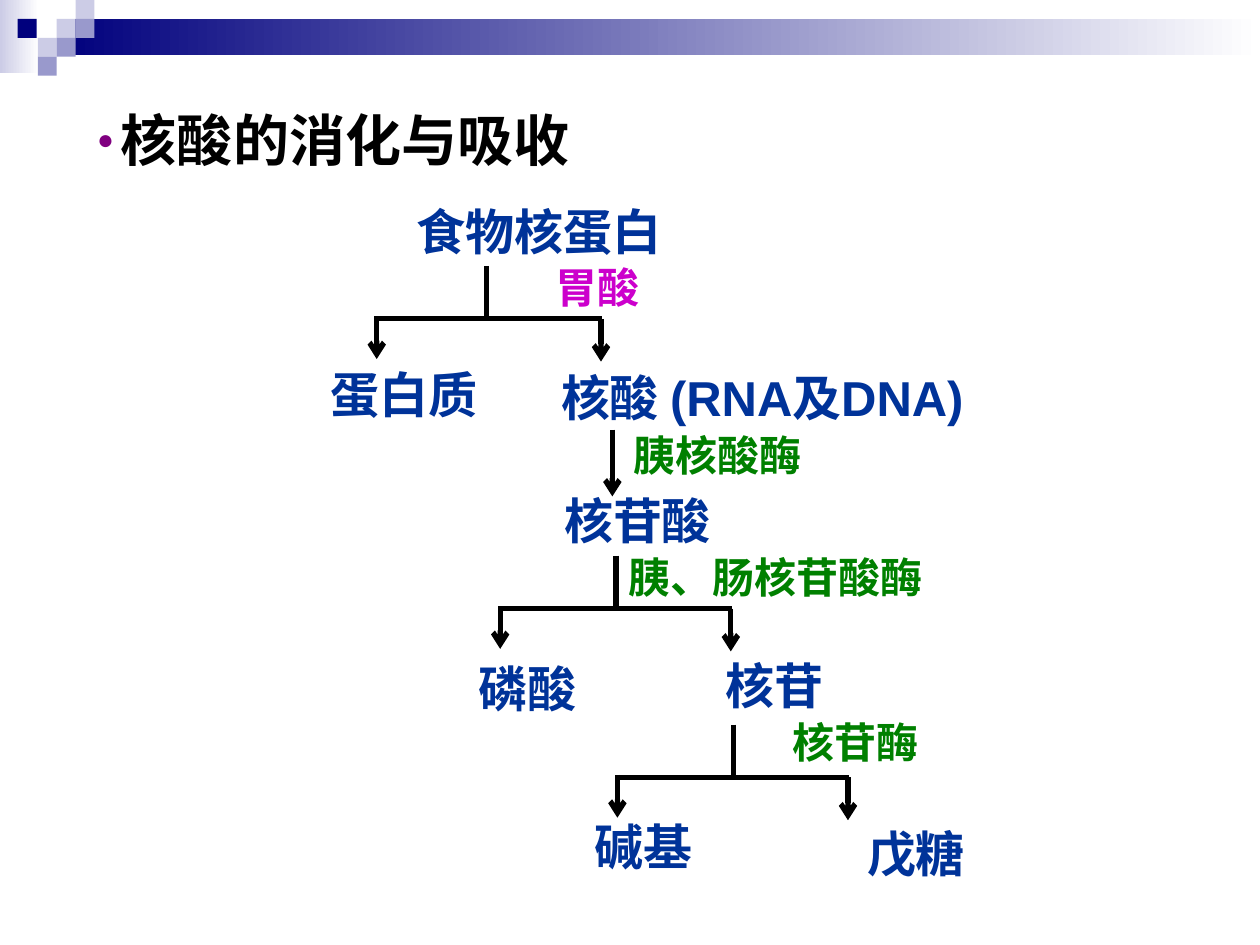
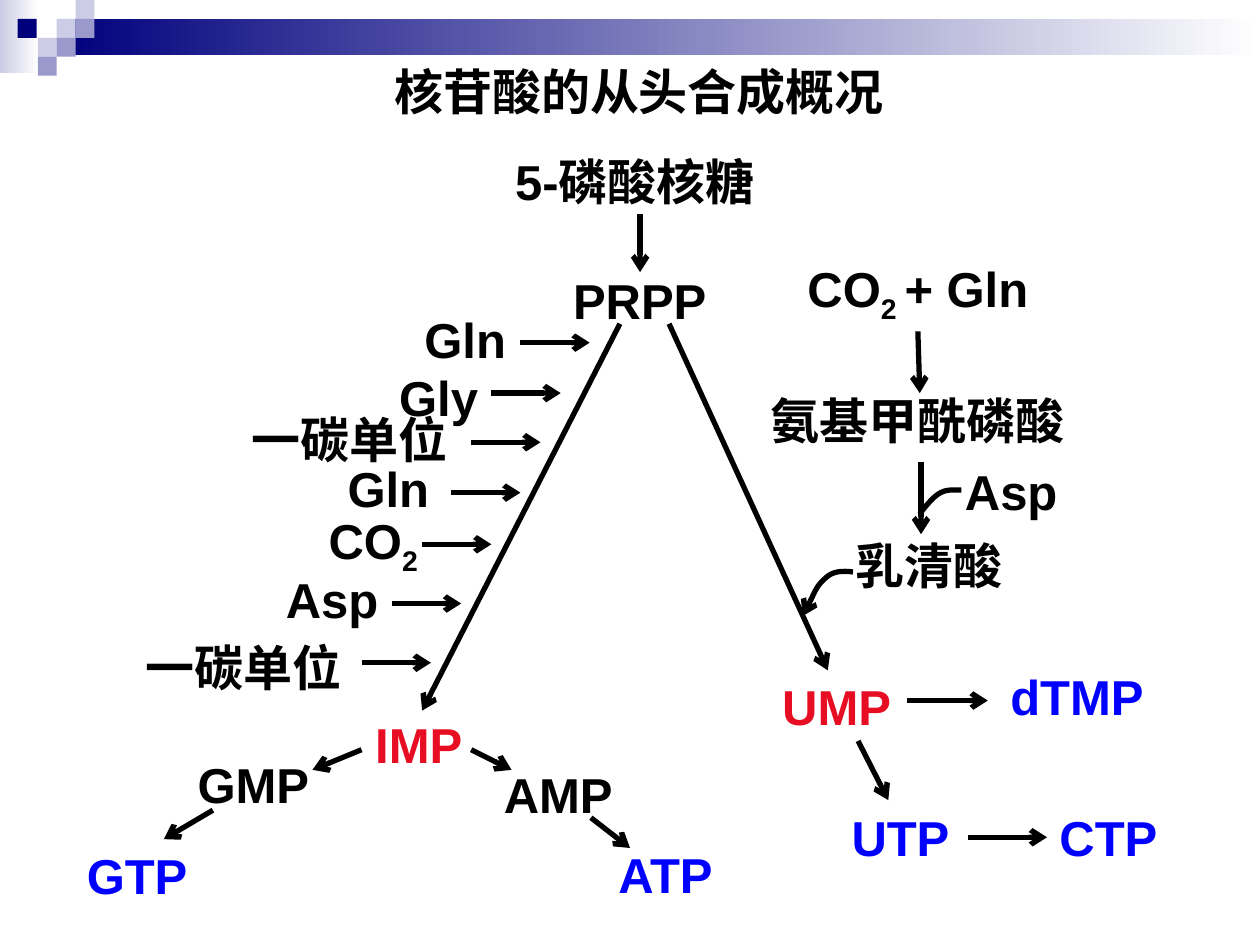
"""Builds two slides on nucleic acid digestion and the de novo synthesis of nucleotides."""
from lxml import etree
from pptx import Presentation
from pptx.dml.color import RGBColor
from pptx.enum.shapes import MSO_CONNECTOR, MSO_SHAPE
from pptx.enum.text import MSO_ANCHOR, MSO_AUTO_SIZE, PP_ALIGN
from pptx.oxml.ns import qn
from pptx.util import Inches, Pt

STRAIGHT = MSO_CONNECTOR.STRAIGHT
RECTANGLE = MSO_SHAPE.RECTANGLE
TOP = MSO_ANCHOR.TOP
FIT_SHAPE = MSO_AUTO_SIZE.SHAPE_TO_FIT_TEXT
LEFT, CENTER = PP_ALIGN.LEFT, PP_ALIGN.CENTER
LEFT_SIDE, BOTTOM_SIDE, RIGHT_SIDE = 1, 2, 3

BLACK = RGBColor(0x00, 0x00, 0x00)
WHITE = RGBColor(0xFF, 0xFF, 0xFF)
NAVY = RGBColor(0x00, 0x00, 0x7D)
LAVENDER = RGBColor(0xCC, 0xCC, 0xE6)
PERIWINKLE = RGBColor(0x99, 0x99, 0xCC)
PURPLE = RGBColor(0x80, 0x00, 0x80)
COMPOUND_BLUE = RGBColor(0x00, 0x33, 0x99)
ENZYME_GREEN = RGBColor(0x00, 0x80, 0x00)
ACID_MAGENTA = RGBColor(0xCC, 0x00, 0xCC)
KEY_RED = RGBColor(0xE7, 0x0D, 0x22)
PRODUCT_BLUE = RGBColor(0x00, 0x00, 0xFF)
FONT = "Arial"


def write(shape, text, size=28, color=BLACK, align=LEFT, wrap=True):
    """Fill a shape with bold text; every second part between bars is subscript."""
    frame = shape.text_frame
    frame.word_wrap = wrap
    frame.auto_size = FIT_SHAPE
    frame.vertical_anchor = TOP
    paragraph = frame.paragraphs[0]
    paragraph.alignment = align
    for index, part in enumerate(text.split("|")):
        run = paragraph.add_run()
        run.text = part
        run.font.name = FONT
        run.font.size = Pt(size)
        run.font.bold = True
        run.font.color.rgb = color
        if index % 2:
            run.font._element.set("baseline", "-25000")
    return paragraph


def style_stroke(stroke, has_head=True):
    """Give a connector or curve the black line, without shadow."""
    stroke.line.color.rgb = BLACK
    stroke.line.width = Pt(3)
    if has_head:
        line = stroke.element.xpath("./p:spPr/a:ln")[0]
        etree.SubElement(line, qn("a:tailEnd"), type="arrow")
    properties = stroke.element.xpath("./p:spPr")[0]
    if properties.find(qn("a:effectLst")) is None:
        etree.SubElement(properties, qn("a:effectLst"))


prs = Presentation()
prs.slide_width = Inches(10)
prs.slide_height = Inches(7.5)
digestion = prs.slides.add_slide(prs.slide_layouts[1])
synthesis = prs.slides.add_slide(prs.slide_layouts[5])

band_parts = [
    (0, 0, 0.31, 0.58, LAVENDER, WHITE),
    (0.45, 0.15, 9.55, 0.29, NAVY, WHITE),
]
band_parts += [(x, y, 0.15, 0.15, color, None) for x, y, color in [
    (0.45, 0.15, LAVENDER),
    (0.6, 0, LAVENDER),
    (0.6, 0.15, PERIWINKLE),
    (0.3, 0.3, LAVENDER),
    (0.14, 0.15, NAVY),
    (0.45, 0.3, PERIWINKLE),
    (0.3, 0.45, PERIWINKLE),
]]
master_tree = prs.slide_master.shapes.element
for index, (x, y, width, height, color, fade) in enumerate(band_parts):
    part = digestion.shapes.add_shape(
        RECTANGLE, Inches(x), Inches(y), Inches(width), Inches(height))
    part.shadow.inherit = False
    part.line.fill.background()
    if fade is None:
        part.fill.solid()
        part.fill.fore_color.rgb = color
    else:
        part.fill.gradient()
        part.fill.gradient_angle = 0
        for stop, stop_color in zip(part.fill.gradient_stops, (color, fade)):
            stop.color.rgb = stop_color
    part.element.xpath("./p:nvSpPr/p:cNvPr")[0].set("id", str(100 + index))
    master_tree.insert(2 + index, part.element)

unused_title = digestion.shapes.title.element
unused_title.getparent().remove(unused_title)
topic = digestion.placeholders[1]
topic.left, topic.top = Inches(0.67), Inches(0.85)
topic.width, topic.height = Inches(8.17), Inches(0.58)
topic_line = write(topic, "核酸的消化与吸收", size=32)
topic_format = topic_line._p.get_or_add_pPr()
topic_format.set("marL", str(Inches(0.19)))
topic_format.set("indent", str(-Inches(0.19)))
bullet_color = etree.SubElement(topic_format, qn("a:buClr"))
etree.SubElement(bullet_color, qn("a:srgbClr"), val=str(PURPLE))
etree.SubElement(topic_format, qn("a:buSzPct"), val="50000")
etree.SubElement(topic_format, qn("a:buChar"), char="●")
topic_line.line_spacing = 0.9
topic_line.space_before = Pt(0)

compounds = [
    ("食物核蛋白", 2.92, 1.55, 2.71),
    ("蛋白质", 2.28, 2.84, 1.85),
    ("核酸 (RNA及DNA)", 4.16, 2.87, 3.78),
    ("核苷酸", 3.89, 3.84, 2.34),
    ("核苷", 5.26, 5.15, 1.78),
    ("磷酸", 3.48, 5.18, 1.41),
    ("碱基", 4.39, 6.43, 1.43),
    ("戊糖", 6.23, 6.49, 2.08),
]
agents = [
    ("胃酸", 3.86, 2.03, 1.77, ACID_MAGENTA),
    ("胰核酸酶", 4.93, 3.36, 1.53, ENZYME_GREEN),
    ("胰、肠核苷酸酶", 4.89, 4.33, 2.53, ENZYME_GREEN),
    ("核苷酶", 5.82, 5.64, 1.94, ENZYME_GREEN),
]
digestion_labels = [(*compound, 0.57, 28, COMPOUND_BLUE) for compound in compounds]
digestion_labels += [(*agent[:4], 0.5, 24, agent[4]) for agent in agents]
for text, x, y, width, height, size, color in digestion_labels:
    label = digestion.shapes.add_textbox(
        Inches(x), Inches(y), Inches(width), Inches(height))
    write(label, text, size=size, color=color, align=CENTER, wrap=False)

digestion_lines = [(4.86, 3.41, 4.86, 3.94, True)]
for stem, top, left, right in [
    (3.86, 2.11, 2.99, 4.77),
    (4.89, 4.41, 3.97, 5.8),
    (5.82, 5.75, 4.9, 6.73),
]:
    fork = top + 0.42
    digestion_lines += [
        (stem, top, stem, fork, False),
        (right + 0.01, fork, left - 0.01, fork, False),
        (left, fork - 0.02, left, fork + 0.32, True),
        (right, fork, right, fork + 0.34, True),
    ]
for x1, y1, x2, y2, has_head in digestion_lines:
    step = digestion.shapes.add_connector(
        STRAIGHT, Inches(x1), Inches(y1), Inches(x2), Inches(y2))
    style_stroke(step, has_head)

heading = synthesis.shapes.title
heading.left, heading.top = Inches(3.03), Inches(0.44)
heading.width, heading.height = Inches(4.53), Inches(0.57)
write(heading, "核苷酸的从头合成概况")

metabolites = {}
for text, x, y, width, color in [
    ("5-磷酸核糖", 3.99, 1.15, 2.66, BLACK),
    ("PRPP", 4.45, 2.1, 1.31, BLACK),
    ("Asp", 7.56, 3.61, 0.98, BLACK),
    ("CO|2 |+ Gln", 6.31, 2, 1.95, BLACK),
    ("氨基甲酰磷酸", 6.02, 3.05, 3.15, BLACK),
    ("乳清酸", 6.69, 4.2, 1.8, BLACK),
    ("UMP", 6.11, 5.32, 1.11, KEY_RED),
    ("dTMP", 7.92, 5.24, 1.3, PRODUCT_BLUE),
    ("UTP", 6.66, 6.36, 1.02, PRODUCT_BLUE),
    ("CTP", 8.31, 6.36, 1.02, PRODUCT_BLUE),
    ("GTP", 0.59, 6.66, 1.05, PRODUCT_BLUE),
    ("ATP", 4.81, 6.65, 1.02, PRODUCT_BLUE),
    ("AMP", 3.9, 6.02, 1.11, BLACK),
    ("GMP", 1.47, 5.94, 1.13, BLACK),
    ("IMP", 2.88, 5.62, 0.94, KEY_RED),
    ("Gln", 3.27, 2.41, 0.89, BLACK),
    ("Gly", 3.07, 2.87, 0.87, BLACK),
    ("一碳单位", 1.9, 3.2, 2.09, BLACK),
    ("Gln", 2.66, 3.59, 0.89, BLACK),
    ("CO|2", 2.51, 4, 0.91, BLACK),
    ("Asp", 2.17, 4.47, 0.98, BLACK),
    ("一碳单位", 1.06, 5.01, 2.2, BLACK),
]:
    height = 0.63 if "|" in text else 0.57
    label = synthesis.shapes.add_textbox(
        Inches(x), Inches(y), Inches(width), Inches(height))
    write(label, text, color=color, wrap=not text.isascii())
    metabolites[text] = label

pathway_steps = [
    (7.28, 2.65, 7.3, 3.12, ("CO|2 |+ Gln", BOTTOM_SIDE), None),
    (7.68, 6.66, 8.31, 6.66, ("UTP", RIGHT_SIDE), ("CTP", LEFT_SIDE)),
]
pathway_steps += [(*ends, None, None) for ends in [
    (5.08, 1.7, 5.08, 2.16),
    (7.31, 3.67, 7.31, 4.24),
    (5.31, 2.57, 6.57, 5.32),
    (7.2, 5.56, 7.84, 5.56),
    (6.81, 5.88, 7.05, 6.35),
    (4.92, 2.57, 3.35, 5.64),
    (3.74, 5.95, 4.06, 6.11),
    (2.87, 5.95, 2.48, 6.11),
    (1.69, 6.43, 1.3, 6.66),
    (4.69, 6.49, 5, 6.73),
]]
donor_starts = [(4.13, 2.72), (3.9, 3.12), (3.74, 3.51), (3.58, 3.91),
                (3.35, 4.32), (3.11, 4.79), (2.87, 5.26)]
pathway_steps += [(x, y, x + 0.55, y, None, None) for x, y in donor_starts]
for x1, y1, x2, y2, source, target in pathway_steps:
    step = synthesis.shapes.add_connector(
        STRAIGHT, Inches(x1), Inches(y1), Inches(x2), Inches(y2))
    if source:
        step.begin_connect(metabolites[source[0]], source[1])
    if target:
        step.end_connect(metabolites[target[0]], target[1])
    style_stroke(step)

for points, has_head in [
    ([(7.63, 3.89), (7.57, 3.89), (7.51, 3.88), (7.45, 3.92),
      (7.4, 3.95), (7.32, 4.05), (7.3, 4.08)], False),
    ([(6.77, 4.54), (6.69, 4.53), (6.61, 4.53), (6.55, 4.59),
      (6.48, 4.65), (6.4, 4.84), (6.37, 4.89)], True),
]:
    start, *controls = [(Inches(x), Inches(y)) for x, y in points]
    builder = synthesis.shapes.build_freeform(*start)
    builder.add_line_segments(controls, close=False)
    entry_curve = builder.convert_to_shape()
    entry_curve.fill.background()
    outline = entry_curve.element.xpath(".//a:path")[0]
    segments = outline.findall(qn("a:lnTo"))
    for first in range(0, len(segments), 3):
        bend = etree.SubElement(outline, qn("a:cubicBezTo"))
        for segment in segments[first:first + 3]:
            bend.append(segment[0])
            outline.remove(segment)
    style_stroke(entry_curve, has_head)

prs.save("out.pptx")
